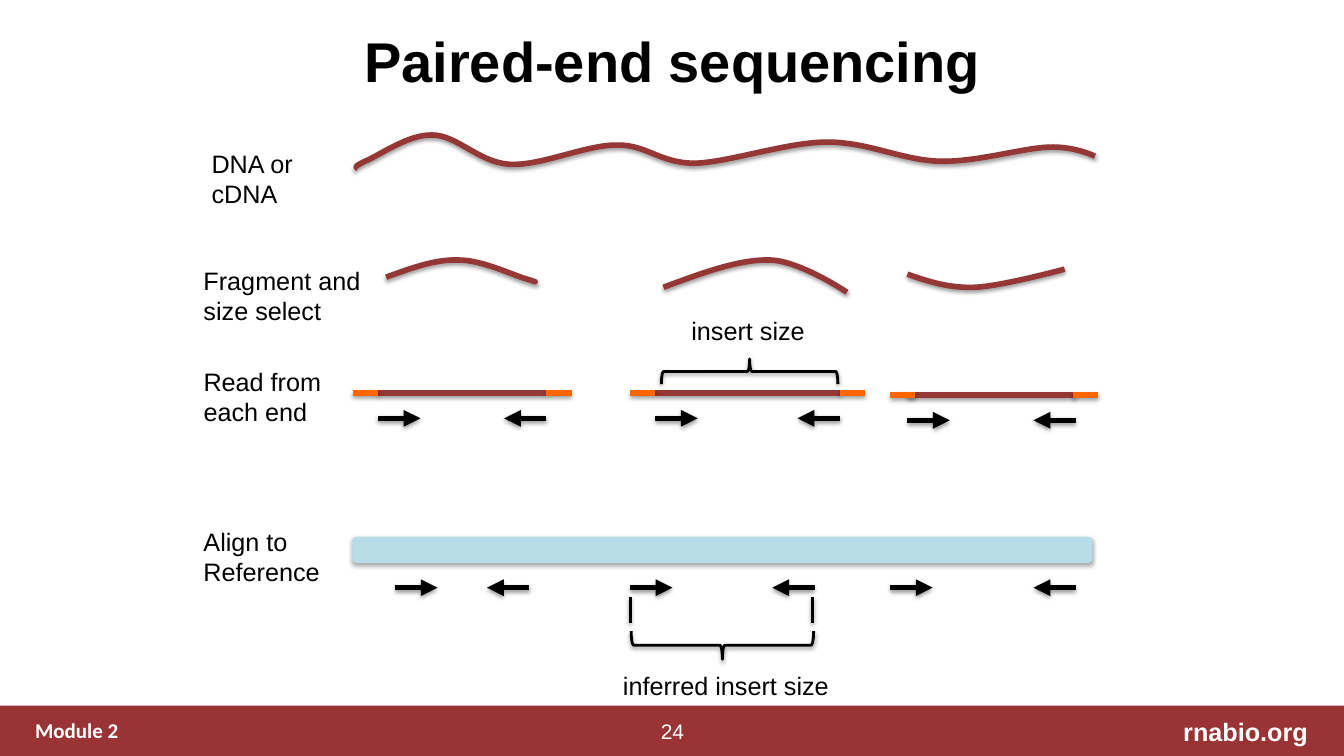
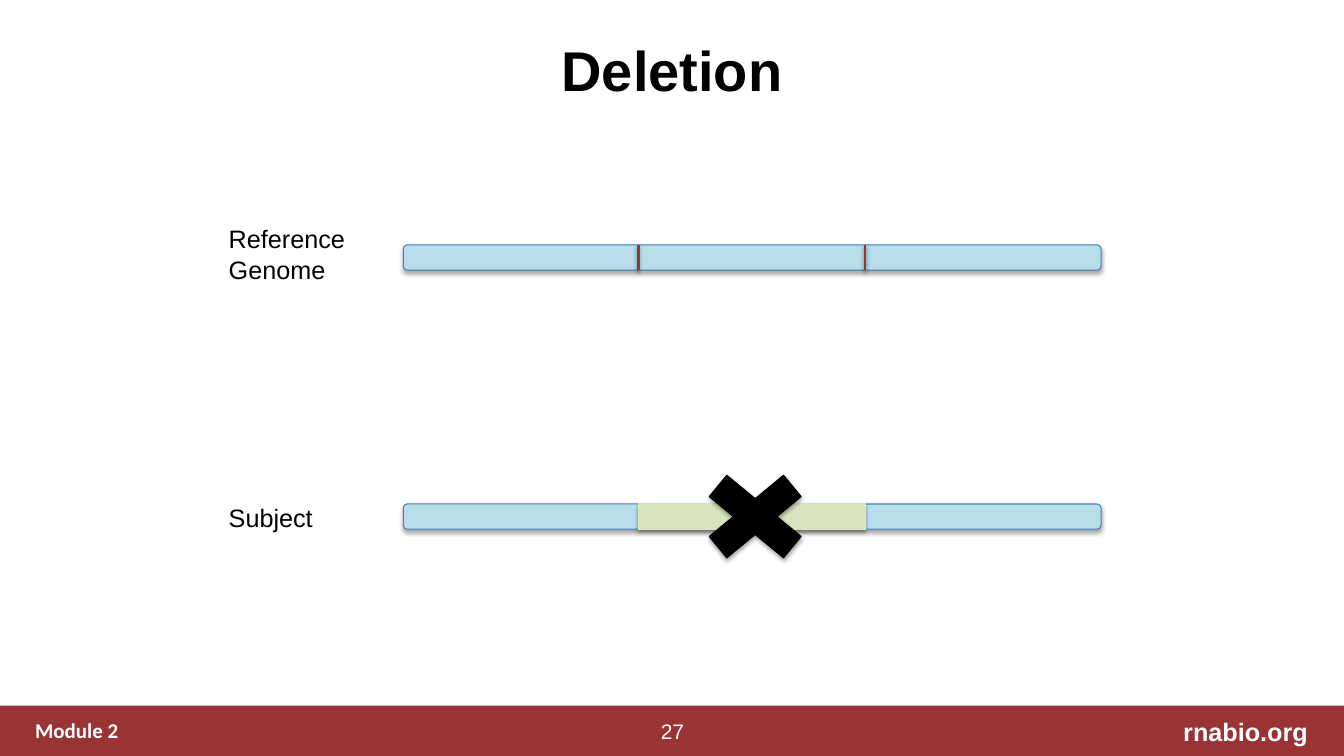
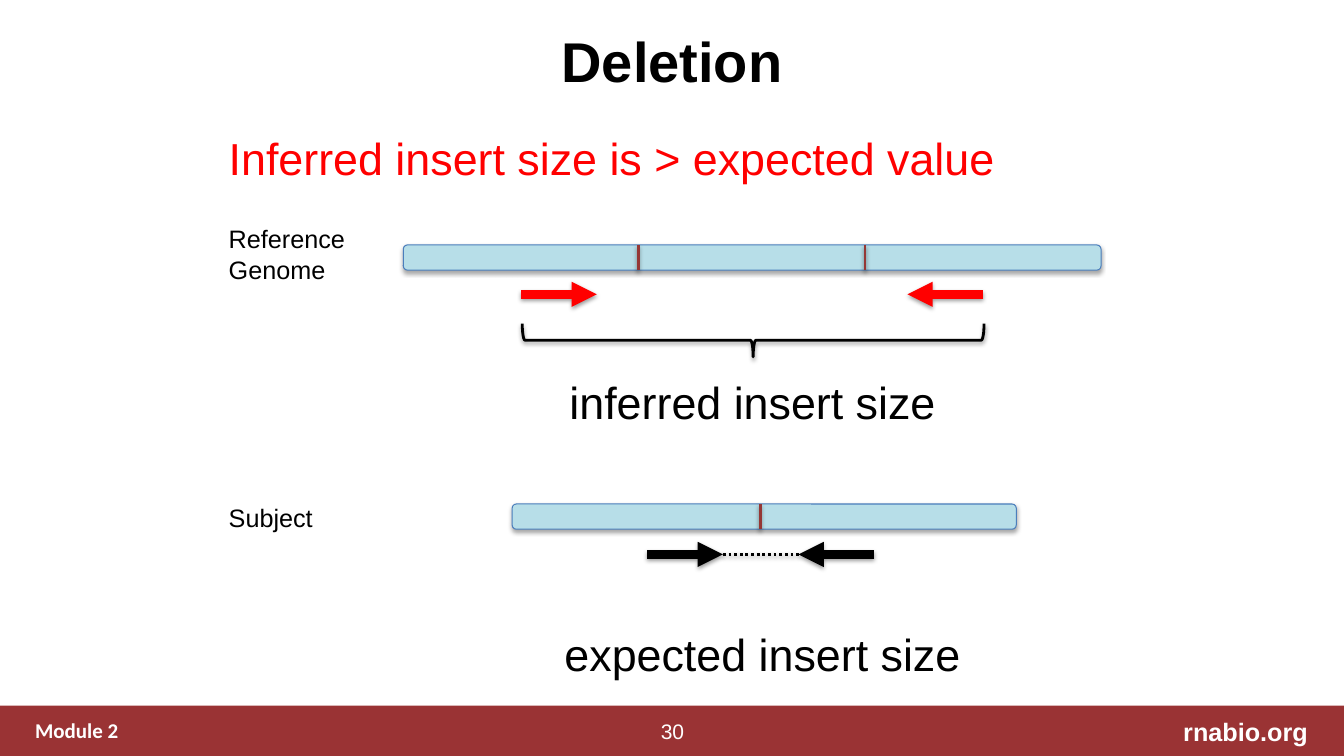
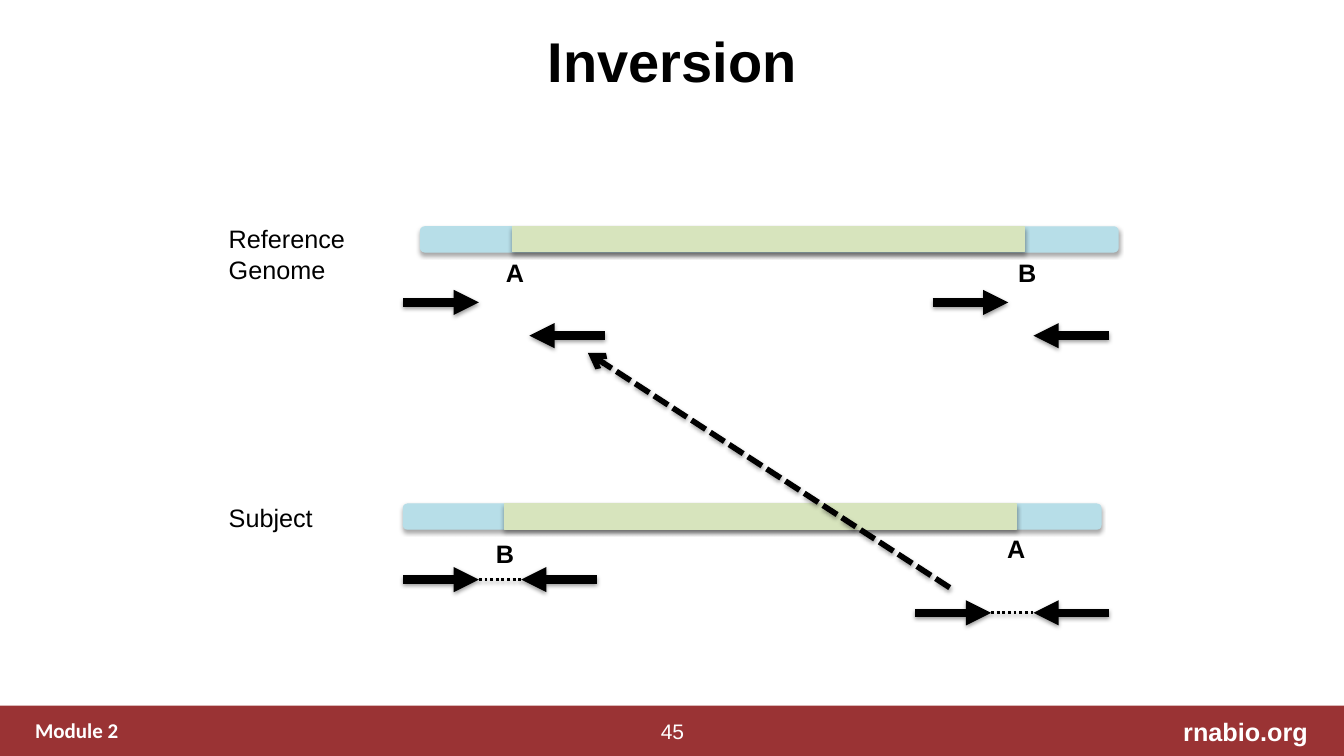
import pptx
import pptx.dml.color
import pptx.enum.dml
import pptx.enum.shapes
import pptx.enum.text
import pptx.oxml.ns
import pptx.util
from lxml import etree

Inches = pptx.util.Inches
Pt = pptx.util.Pt
SHAPE = pptx.enum.shapes.MSO_SHAPE
ALIGN = pptx.enum.text.PP_ALIGN
DASH = pptx.enum.dml.MSO_LINE
qn = pptx.oxml.ns.qn

BLACK, WHITE, RED = "000000", "FFFFFF", "FF0000"
BAND, MAROON, ORANGE = "9A3334", "953735", "FF6600"
SKY, BLUE, GREEN = "B7DEE8", "4B7EBC", "D7E4BD"

BAR = 0.25    # height of every sequence bar
LONG = 6.92   # width of a whole genome bar
READ = 0.75   # length of a large read arrow
SHORT = 0.42  # length of a small read arrow


def tint(code):
    return pptx.dml.color.RGBColor.from_string(code)


def shade(shape, alpha=38, dist=1.6):
    """Cast a soft shadow straight down; call after fill and line are set."""
    effects = etree.SubElement(shape.element.spPr, qn("a:effectLst"))
    outer = etree.SubElement(effects, qn("a:outerShdw"), blurRad=str(Pt(3.1)),
                             dist=str(Pt(dist)), dir="5400000", rotWithShape="0")
    color = etree.SubElement(outer, qn("a:srgbClr"), val=BLACK)
    etree.SubElement(color, qn("a:alpha"), val=str(alpha * 1000))


def style(para, size, color, bold=False, align=None, font="Arial"):
    para.alignment = align
    para.font.name = font
    para.font.size = Pt(size)
    para.font.bold = bold
    para.font.color.rgb = tint(color)


def note(shapes, text, left, top, width, height, size=18, color=BLACK,
         wrap=True, **look):
    box = shapes.add_textbox(Inches(left), Inches(top), Inches(width), Inches(height))
    frame = box.text_frame
    frame.word_wrap = wrap
    frame.auto_size = pptx.enum.text.MSO_AUTO_SIZE.SHAPE_TO_FIT_TEXT
    frame.text = text
    style(frame.paragraphs[0], size, color, **look)
    return box


def block(shapes, kind, left, top, width, height, fill, edge=None):
    shape = shapes.add_shape(kind, Inches(left), Inches(top), Inches(width), Inches(height))
    shape.fill.solid()
    shape.fill.fore_color.rgb = tint(fill)
    shape.line.color.rgb = tint(edge or fill)
    shape.line.width = Pt(0.75)
    shade(shape, 35, 1.8)


def line(shapes, start, end, color=BLACK, width=4, head=None, dash=None):
    link = shapes.add_connector(pptx.enum.shapes.MSO_CONNECTOR.STRAIGHT,
                                *(Inches(n) for n in (*start, *end)))
    link.line.color.rgb = tint(color)
    link.line.width = Pt(width)
    if dash:
        link.line.dash_style = dash
    if head:
        etree.SubElement(link.line._get_or_add_ln(), qn("a:tailEnd"), type=head)
    shade(link)


def outline(shape, color, width):
    shape.fill.background()
    shape.line.color.rgb = tint(color)
    shape.line.width = Pt(width)
    shade(shape)


def curve(shapes, left, top, points):
    """Draw a strand from a start point and cubic control points, relative to left, top."""
    first, *rest = [(Inches(left + x), Inches(top + y)) for x, y in points]
    pen = shapes.build_freeform(*first)
    pen.add_line_segments(rest, close=False)
    shape = pen.convert_to_shape()
    legs = list(shape.element.iter(qn("a:lnTo")))
    for i in range(0, len(legs), 3):
        bend = etree.SubElement(legs[i].getparent(), qn("a:cubicBezTo"))
        for leg in legs[i:i + 3]:
            bend.append(leg[0])
            leg.getparent().remove(leg)
    outline(shape, MAROON, 4)


def brace(shapes, left, top, width, height, turn):
    """Lay a brace flat in the box: turn 90 points up, 270 points down."""
    shape = shapes.add_shape(
        SHAPE.LEFT_BRACE, Inches(left + (width - height) / 2),
        Inches(top + (height - width) / 2), Inches(height), Inches(width))
    shape.rotation = turn
    outline(shape, BLACK, 2)


def read(shapes, start, y, length, color=BLACK, width=6):
    """Draw a read arrow; a negative length points left."""
    line(shapes, (start, y), (start + length, y), color, width, "triangle")


def pair(shapes, left, right, y, length=READ, color=BLACK, width=6, dots=False):
    """Draw two reads that face each other."""
    read(shapes, left, y, length, color, width)
    read(shapes, right, y, -length, color, width)
    if dots:
        line(shapes, (left + length, y), (right - length, y), width=2, dash=DASH.ROUND_DOT)


def genome(shapes, left, top, width=LONG, edge=BLUE, cuts=()):
    """Draw a genome bar with cut marks at offsets from its left end."""
    block(shapes, SHAPE.ROUNDED_RECTANGLE, left, top, width, BAR, SKY, edge)
    for cut in cuts:
        line(shapes, (left + cut, top), (left + cut, top + BAR), MAROON, 2)


def splice(slide, left, top, start, width, edge=SKY, tags=()):
    """Group a genome bar, its green segment and the segment's end tags."""
    shapes = slide.shapes.add_group_shape().shapes
    genome(shapes, left, top, edge=edge)
    block(shapes, SHAPE.RECTANGLE, left + start, top, width, BAR, GREEN)
    for text, x, y in tags:
        note(shapes, text, left + x, top + y, 0.38, 0.4, bold=True, wrap=False)


def insert(shapes, left, right, y, caps):
    """Draw a sequenced fragment with adapters at both ends and its reads."""
    line(shapes, (left, y), (right, y), MAROON)
    for cap in caps:
        line(shapes, (cap, y), (cap + 0.25, y), ORANGE)
    pair(shapes, left, right, y + 0.25, SHORT, width=4)


def sides(slide):
    """Name the two genomes that a slide compares."""
    note(slide.shapes, "Reference Genome", 2.17, 2.17, 1.42, 0.71)
    note(slide.shapes, "Subject", 2.17, 4.93, 1.42, 0.4)


def footer(slide):
    """Build the footer band and move it to the layout, for all slides."""
    shapes = slide.shapes
    band = shapes.add_shape(SHAPE.RECTANGLE, 0, Inches(7), Inches(13.33), Inches(0.5))
    band.shadow.inherit = False
    band.fill.solid()
    band.fill.fore_color.rgb = tint(BAND)
    band.line.fill.background()
    left = note(shapes, "Module 2", 0.25, 7.07, 9.78, 0.35, 15, WHITE,
                bold=True, font="Calibri")
    right = note(shapes, "rnabio.org", 9.63, 7.06, 3.44, 0.4, 18, WHITE,
                 bold=True, align=ALIGN.RIGHT)
    for part in (band, left, right):
        slide.slide_layout.shapes.element.append(part.element)


def page(deck, title, number, top=-0.03):
    slide = deck.slides.add_slide(deck.slide_layouts[5])
    if len(deck.slides) == 1:
        footer(slide)
    head = slide.shapes.title
    head.left, head.top = Inches(1.83), Inches(top)
    head.width, head.height = Inches(9.67), Inches(1.25)
    head.text_frame.text = title
    head.text_frame.vertical_anchor = pptx.enum.text.MSO_ANCHOR.MIDDLE
    style(head.text_frame.paragraphs[0], 40, BLACK, True, ALIGN.CENTER)
    folio = note(slide.shapes, str(number), 6.44, 7.08, 0.46, 0.35, 15, WHITE,
                 wrap=False, align=ALIGN.CENTER)
    folio.text_frame.vertical_anchor = pptx.enum.text.MSO_ANCHOR.MIDDLE
    return slide


def paired(deck):
    shapes = page(deck, "Paired-end sequencing", 24).shapes
    for text, left, top, width in (
            ("DNA or cDNA", 2, 1.42, 1.25),
            ("Fragment and size select", 1.92, 2.58, 1.76),
            ("Read from each end", 1.92, 3.58, 1.42),
            ("Align to Reference", 1.92, 5.17, 1.43)):
        note(shapes, text, left, top, width, 0.71)

    curve(shapes, 3.5, 1.33, [
        (0.05, 0.34), (0.03, 0.33), (0, 0.33), (0.12, 0.27),
        (0.25, 0.22), (0.55, 0), (0.79, 0.01), (1.03, 0.01), (1.25, 0.28), (1.55, 0.3),
        (1.86, 0.32), (2.3, 0.11), (2.61, 0.11), (2.91, 0.1), (3.04, 0.29), (3.39, 0.29),
        (3.74, 0.28), (4.3, 0.08), (4.71, 0.08), (5.11, 0.08), (5.45, 0.26), (5.82, 0.27),
        (6.18, 0.28), (6.64, 0.14), (6.9, 0.13), (7.16, 0.12), (7.36, 0.22), (7.36, 0.22)])
    curve(shapes, 3.83, 2.57, [
        (0, 0.18), (0.25, 0.09), (0.49, 0), (0.72, 0.01), (0.96, 0.01), (1.28, 0.17),
        (1.4, 0.2), (1.53, 0.24), (1.46, 0.22), (1.46, 0.22)])
    curve(shapes, 9, 2.67, [
        (0, 0.05), (0.2, 0.12), (0.41, 0.19), (0.67, 0.18),
        (0.93, 0.17), (1.56, 0), (1.56, 0)])
    curve(shapes, 6.58, 2.57, [
        (0, 0.28), (0.38, 0.14), (0.75, 0), (1.06, 0.01),
        (1.36, 0.02), (1.82, 0.33), (1.82, 0.33)])

    insert(shapes, 3.75, 5.42, 3.9, (3.5, 5.42))
    insert(shapes, 6.5, 8.33, 3.9, (6.25, 8.33))
    insert(shapes, 9, 10.67, 3.92, (8.83, 10.64))
    brace(shapes, 6.56, 3.56, 1.75, 0.25, 90)
    note(shapes, "insert size", 6.75, 3.08, 1.34, 0.4, wrap=False, align=ALIGN.CENTER)

    genome(shapes, 3.5, 5.33, 7.33, SKY)
    for left, right in ((3.92, 5.25), (6.25, 8.08), (8.83, 10.67)):
        pair(shapes, left, right, 5.83, SHORT, width=4)
    for x in (6.25, 8.06):
        line(shapes, (x, 5.92), (x, 6.18), width=2)
    brace(shapes, 6.26, 6.26, 1.81, 0.28, 270)
    note(shapes, "inferred insert size", 6.07, 6.6, 2.26, 0.4, wrap=False,
         align=ALIGN.CENTER)


def removed(deck):
    slide = page(deck, "Deletion", 27, 0.06)
    sides(slide)
    genome(slide.shapes, 4, 2.43, cuts=(2.33, 4.58))
    splice(slide, 4, 5, 2.33, 2.25, BLUE)
    block(slide.shapes, SHAPE.MATH_MULTIPLY, 6.78, 4.54, 1.42, 1.17, BLACK)


def inferred(deck):
    slide = page(deck, "Deletion", 30)
    shapes = slide.shapes
    sides(slide)
    note(shapes, "Inferred insert size is > expected value", 2.17, 1.25, 8.58, 0.64, 32, RED)
    genome(shapes, 4, 2.43, cuts=(2.33, 4.58))
    pair(shapes, 5.17, 9.75, 2.92, color=RED)
    brace(shapes, 5.18, 3.21, 4.58, 0.33, 270)
    note(shapes, "inferred insert size", 5.55, 3.67, 3.87, 0.64, 32, wrap=False)
    genome(shapes, 5.08, 5, 5, cuts=(2.46,))
    pair(shapes, 6.42, 8.67, 5.5, dots=True)
    note(shapes, "expected insert size", 5.5, 6.17, 4.17, 0.64, 32, wrap=False)


def inverted(deck):
    slide = page(deck, "Inversion", 45)
    shapes = slide.shapes
    sides(slide)
    splice(slide, 4.17, 2.25, 0.91, 5.08, tags=(("A", 0.75, 0.25), ("B", 5.83, 0.25)))
    splice(slide, 4, 5, 1, 5.08, tags=(("B", 0.82, 0.29), ("A", 5.89, 0.24)))
    for start in (4, 9.25):
        read(shapes, start, 3, READ)
    for start in (6, 11):
        read(shapes, start, 3.33, -READ)
    for left, y in ((4, 5.75), (9.08, 6.08)):
        pair(shapes, left, left + 1.92, y, dots=True)
    line(shapes, (9.42, 5.83), (5.83, 3.5), head="arrow", dash=DASH.SQUARE_DOT)


def main():
    deck = pptx.Presentation()
    deck.slide_width, deck.slide_height = Inches(13.33), Inches(7.5)
    for build in (paired, removed, inferred, inverted):
        build(deck)
    deck.save("out.pptx")


if __name__ == "__main__":
    main()
